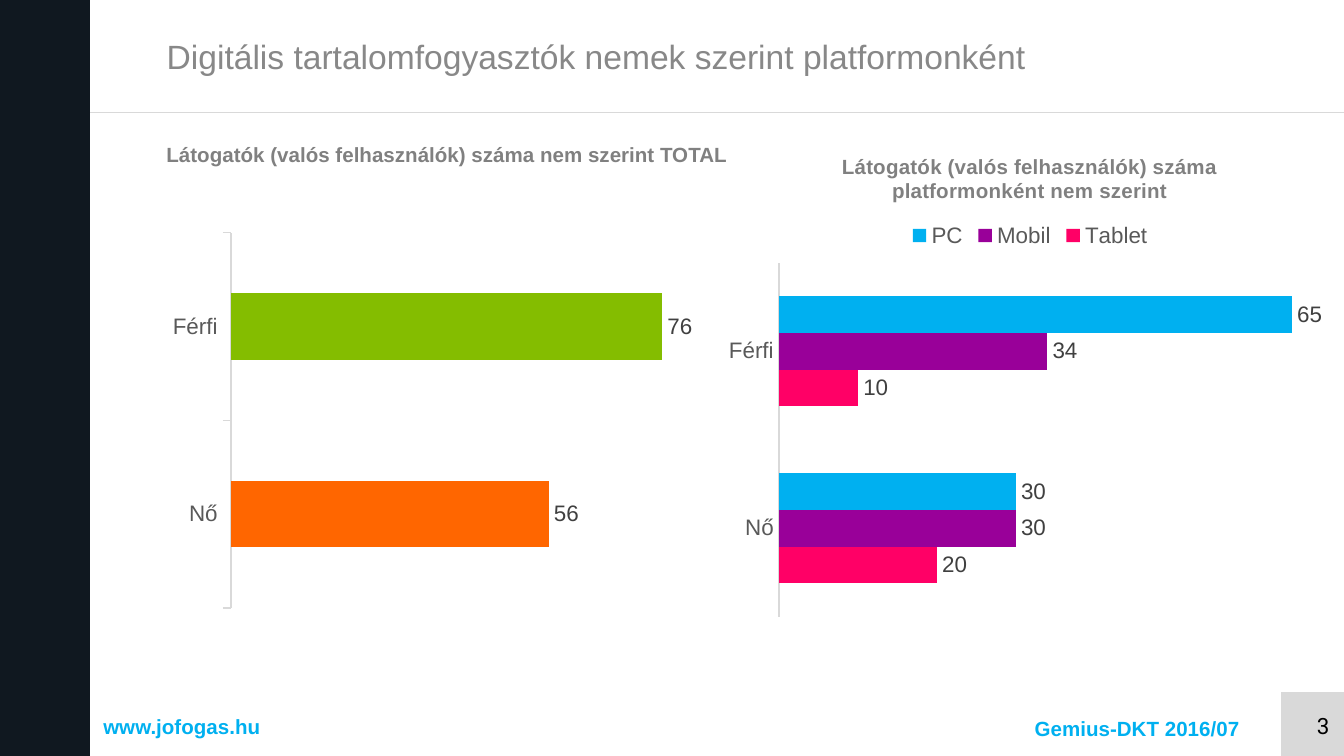
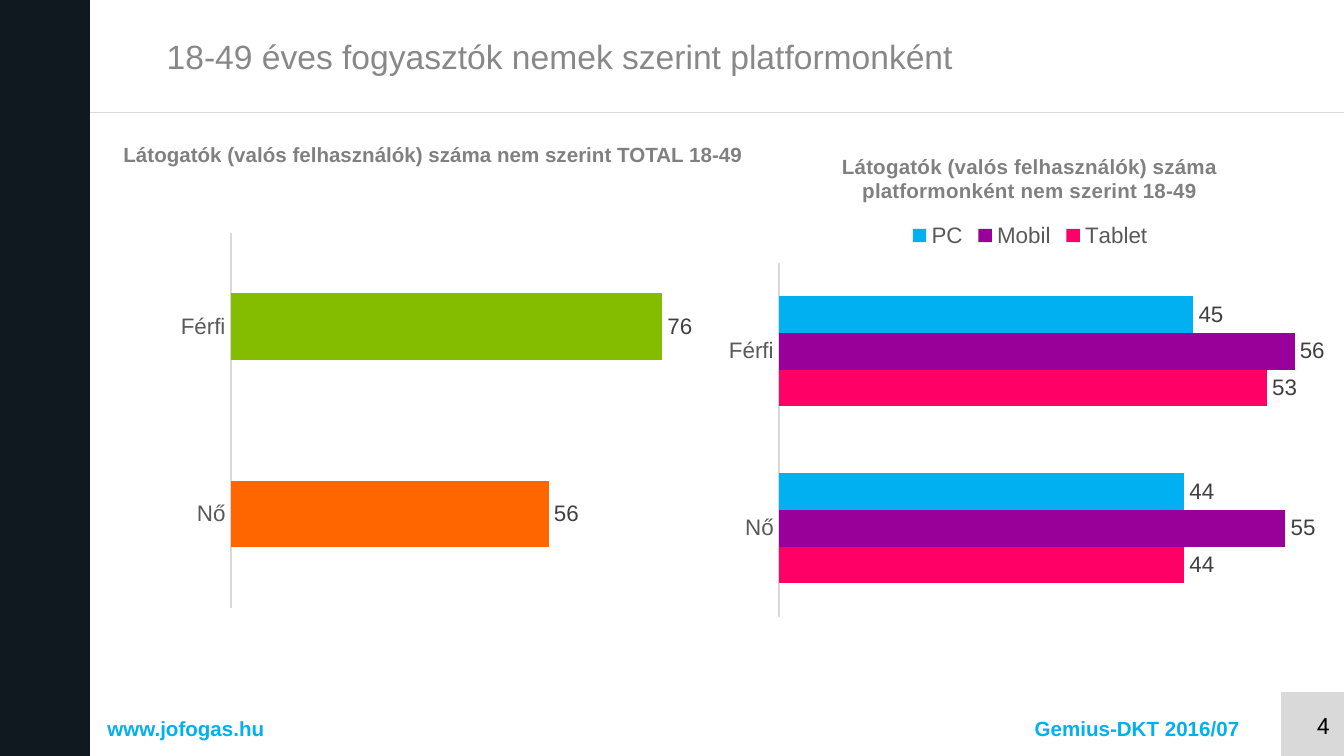
"""Builds two slides comparing digital audiences by gender and platform."""
from dataclasses import dataclass
from typing import Any

from lxml.etree import SubElement
from pptx import Presentation
from pptx.chart.chart import Chart
from pptx.chart.data import CategoryChartData
from pptx.dml.color import RGBColor
from pptx.enum.chart import XL_CHART_TYPE as ChartType
from pptx.enum.chart import XL_LABEL_POSITION as LabelPosition
from pptx.enum.chart import XL_LEGEND_POSITION as LegendPosition
from pptx.enum.chart import XL_TICK_LABEL_POSITION as TickLabels
from pptx.enum.chart import XL_TICK_MARK as TickMark
from pptx.enum.shapes import MSO_CONNECTOR as Connector
from pptx.enum.shapes import MSO_SHAPE as Preset
from pptx.enum.text import MSO_ANCHOR as Anchor
from pptx.enum.text import MSO_AUTO_SIZE as AutoSize
from pptx.enum.text import PP_ALIGN as Align
from pptx.oxml import parse_xml
from pptx.oxml.ns import nsdecls, qn
from pptx.slide import Slide, SlideLayout
from pptx.util import Inches, Pt

PAGE_WIDTH = 10
PAGE_HEIGHT = PAGE_WIDTH * 9 / 16
BAND_WIDTH, RULE_TOP = 0.67, 0.84

DARK, RULE, GREY, TITLE_GREY = "101820", "D9D9D9", "808080", "888888"
AXIS_GREY, LABEL_GREY, BLACK = "595959", "404040", "000000"
BLUE, PURPLE, PINK, ORANGE, GREEN = "00B0F0", "990099", "FF0066", "FF6600", "84BD00"

TITLE = {"name": "Arial", "size": Pt(18), "bold": False}
HEADING = {"name": "Arial", "size": Pt(11), "bold": True}
CHART_TEXT = {"name": "Arial", "size": Pt(12), "bold": False}
PAGE_NUMBER = {"name": "Roboto", "size": Pt(12), "bold": False}

GENDERS = ("Nő", "Férfi")
TOTALS = (56, 76)


@dataclass(frozen=True)
class Area:
    left: float
    top: float
    width: float
    height: float

    def lengths(self) -> tuple[int, ...]:
        return tuple(Inches(v) for v in (self.left, self.top, self.width, self.height))


@dataclass(frozen=True)
class Series:
    name: str
    values: tuple[int, ...]
    color: str


@dataclass(frozen=True)
class BarStyle:
    area: Area
    plot_percent: Area
    maximum: int
    tick: Any = TickMark.NONE


@dataclass(frozen=True)
class Page:
    number: int
    title: str
    total_heading: str
    total_area: Area
    total_tick: Any
    platform_heading: str
    platform_maximum: int
    platforms: tuple[Series, ...]
    address_area: Area


PAGES = (
    Page(3, "Digitális tartalomfogyasztók nemek szerint platformonként",
         "Látogatók (valós felhasználók) száma nem szerint TOTAL",
         Area(1.14, 1.01, 4.46, 0.29), TickMark.OUTSIDE,
         "Látogatók (valós felhasználók) száma platformonként nem szerint", 70,
         (Series("Tablet", (20, 10), PINK), Series("Mobil", (30, 34), PURPLE),
          Series("PC", (30, 65), BLUE)),
         Area(0.67, 5.26, 2.05, 0.29)),
    Page(4, "18-49 éves fogyasztók nemek szerint platformonként",
         "Látogatók (valós felhasználók) száma nem szerint TOTAL 18-49",
         Area(0.82, 1.01, 4.89, 0.29), TickMark.NONE,
         "Látogatók (valós felhasználók) száma platformonként nem szerint 18-49", 60,
         (Series("Tablet", (44, 53), PINK), Series("Mobil", (55, 56), PURPLE),
          Series("PC", (44, 45), BLUE)),
         Area(0.7, 5.28, 1.39, 0.29)),
)


def paint(color: str) -> RGBColor:
    return RGBColor.from_string(color)


def style_font(font: Any, values: dict[str, Any], color: str) -> None:
    for key, value in values.items():
        setattr(font, key, value)
    font.color.rgb = paint(color)


def fill_solid(target: Any, color: str) -> None:
    target.fill.solid()
    target.fill.fore_color.rgb = paint(color)


def add_block(slide: Slide, preset: Any, area: Area, color: str) -> Any:
    block = slide.shapes.add_shape(preset, *area.lengths())
    block.shadow.inherit = False
    fill_solid(block, color)
    block.line.fill.background()
    return block


def add_rule(slide: Slide) -> Any:
    rule = slide.shapes.add_connector(
        Connector.STRAIGHT, Inches(BAND_WIDTH), Inches(RULE_TOP),
        Inches(PAGE_WIDTH), Inches(RULE_TOP))
    rule.line.color.rgb = paint(RULE)
    rule.line.width = Pt(0.5)
    SubElement(rule.element.spPr, qn("a:effectLst"))
    return rule


def dress_layout(slide: Slide, layout: SlideLayout) -> None:
    tile = Area(9.53, 5.15, PAGE_WIDTH - 9.53, PAGE_HEIGHT - 5.15)
    parts = (
        add_block(slide, Preset.RECTANGLE, Area(0, 0, BAND_WIDTH, PAGE_HEIGHT), DARK),
        add_rule(slide),
        add_block(slide, Preset.FLOWCHART_PROCESS, tile, RULE),
    )
    for part in parts:
        layout.shapes.element.append(part.element)


def add_text(slide: Slide, area: Area, text: str, values: dict[str, Any], color: str,
             align: Any = Align.LEFT, wrap: bool = True) -> None:
    box = slide.shapes.add_textbox(*area.lengths())
    frame = box.text_frame
    frame.word_wrap = wrap
    frame.auto_size = AutoSize.SHAPE_TO_FIT_TEXT
    para = frame.paragraphs[0]
    para.alignment = align
    span = para.add_run()
    span.text = text
    style_font(span.font, values, color)


def set_title(slide: Slide, text: str) -> None:
    title = slide.shapes.title
    title.left, title.top, title.width, title.height = Area(1.14, 0, 7.17, RULE_TOP).lengths()
    title.text_frame.vertical_anchor = Anchor.MIDDLE
    para = title.text_frame.paragraphs[0]
    para.alignment = Align.LEFT
    span = para.add_run()
    span.text = text
    style_font(span.font, TITLE, TITLE_GREY)


def place_part(chart: Chart, tag: str, index: int, percent: Area, inner: bool = False) -> None:
    part = chart.element.find(f".//{qn(tag)}")
    for layout in part.findall(qn("c:layout")):
        part.remove(layout)
    target = '<c:layoutTarget val="inner"/>' if inner else ""
    part.insert(index, parse_xml(
        f'<c:layout {nsdecls("c")}><c:manualLayout>{target}'
        '<c:xMode val="edge"/><c:yMode val="edge"/>'
        f'<c:x val="{percent.left / 100}"/><c:y val="{percent.top / 100}"/>'
        f'<c:w val="{percent.width / 100}"/><c:h val="{percent.height / 100}"/>'
        '</c:manualLayout></c:layout>'))


def add_bars(slide: Slide, style: BarStyle, series: tuple[Series, ...]) -> Chart:
    data = CategoryChartData()
    data.categories = GENDERS
    for item in series:
        data.add_series(item.name, item.values)
    chart = slide.shapes.add_chart(
        ChartType.BAR_CLUSTERED, *style.area.lengths(), data).chart
    style_font(chart.font, {"name": "Arial", "size": Pt(10)}, BLACK)
    chart.has_title = chart.has_legend = False

    axis = chart.category_axis
    axis.major_tick_mark = style.tick
    axis.minor_tick_mark = TickMark.NONE
    axis.tick_label_position = TickLabels.NEXT_TO_AXIS
    axis.format.line.color.rgb = paint(RULE)
    axis.format.line.width = Pt(0.75)
    style_font(axis.tick_labels.font, CHART_TEXT, AXIS_GREY)
    scale = chart.value_axis
    scale.has_major_gridlines = scale.visible = False
    scale.minimum_scale, scale.maximum_scale = 0, style.maximum

    plot = chart.plots[0]
    plot.gap_width = 182
    plot.overlap = 0
    plot.vary_by_categories = False
    for item, bars in zip(series, plot.series):
        fill_solid(bars.format, item.color)
        labels = bars.data_labels
        labels.show_value = True
        labels.position = LabelPosition.OUTSIDE_END
        style_font(labels.font, CHART_TEXT, LABEL_GREY)
    place_part(chart, "c:plotArea", 0, style.plot_percent, inner=True)
    return chart


def add_platform_chart(slide: Slide, page: Page) -> None:
    style = BarStyle(Area(5.33, 0.98, 4.67, 3.68), Area(10, 26.5, 88, 71.6),
                     page.platform_maximum)
    chart = add_bars(slide, style, page.platforms)
    chart.has_title = True
    para = chart.chart_title.text_frame.paragraphs[0]
    span = para.add_run()
    span.text = page.platform_heading
    style_font(span.font, HEADING, GREY)
    chart.chart_title.include_in_layout = False
    place_part(chart, "c:title", 1, Area(19.4, 3.5, 60, 11))
    chart.has_legend = True
    chart.legend.position = LegendPosition.TOP
    chart.legend.include_in_layout = False
    style_font(chart.legend.font, CHART_TEXT, AXIS_GREY)
    place_part(chart, "c:legend", 1, Area(30, 17.5, 40, 7))


def add_total_chart(slide: Slide, page: Page) -> None:
    style = BarStyle(Area(1.08, 1.58, 4.17, 3.68), Area(15.3, 4.1, 81, 75.9),
                     80, page.total_tick)
    chart = add_bars(slide, style, (Series("Series 1", TOTALS, PINK),))
    for index, color in enumerate((ORANGE, GREEN)):
        fill_solid(chart.plots[0].series[0].points[index].format, color)


def fill_page(slide: Slide, page: Page) -> None:
    set_title(slide, page.title)
    add_text(slide, Area(9.53, 5.25, 0.46, 0.42), str(page.number), PAGE_NUMBER, BLACK,
             align=Align.RIGHT)
    add_text(slide, page.total_area, page.total_heading, HEADING, GREY, wrap=False)
    add_platform_chart(slide, page)
    add_text(slide, page.address_area, "www.jofogas.hu", HEADING, BLUE)
    add_text(slide, Area(7.6, 5.28, 1.73, 0.29), "Gemius-DKT 2016/07", HEADING, BLUE)
    add_total_chart(slide, page)


def main() -> None:
    deck = Presentation()
    deck.slide_width, deck.slide_height = Inches(PAGE_WIDTH), Inches(PAGE_HEIGHT)
    layout = deck.slide_layouts[5]
    slides = [deck.slides.add_slide(layout) for _ in PAGES]
    dress_layout(slides[0], layout)
    for slide, page in zip(slides, PAGES):
        fill_page(slide, page)
    deck.save("out.pptx")


if __name__ == "__main__":
    main()
